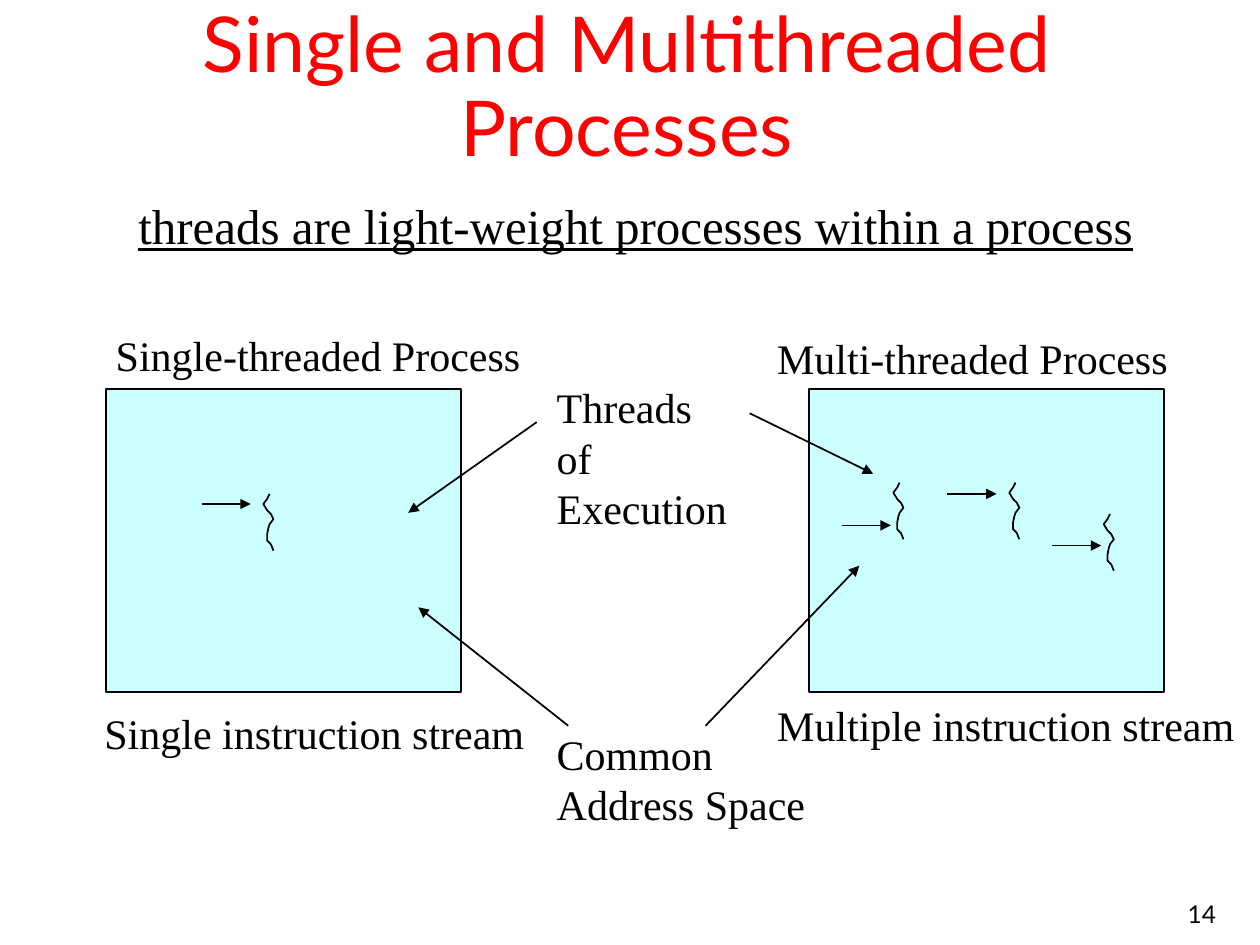
"""Build the slide on single and multithreaded processes."""
import pptx
import pptx.dml.color
import pptx.enum.shapes
import pptx.enum.text
import pptx.oxml
import pptx.util
from pptx.util import Inches

SERIF = "Times New Roman"
ALIGN = pptx.enum.text.PP_ALIGN
ANCHOR = pptx.enum.text.MSO_ANCHOR

LABELS = [
    ("Single-threaded Process", (0.82, 2.57, 3.41, 0.5), False),
    ("Single instruction stream", (0.73, 5.57, 4.26, 0.5), True),
    ("Multi-threaded Process", (6.07, 2.59, 3.6, 0.5), True),
    ("Multiple instruction stream", (6.07, 5.5, 3.85, 0.5), True),
    ("Threads of\nExecution", (4.32, 2.98, 1.63, 0.9), False),
    ("Common\nAddress Space", (4.32, 5.73, 2.17, 0.9), False),
]
PROCESSES = [(0.84, 3.09, 2.82, 2.4), (6.42, 3.09, 2.82, 2.4)]
THREADS = [(2.09, 3.92), (8.01, 3.83), (8.76, 4.08), (7.09, 3.83)]
STEPS = [(1.6, 4), (7.52, 3.92), (8.35, 4.33), (6.68, 4.17)]
STEP_LENGTH = 0.39
POINTERS = [
    ((4.51, 5.76), (3.32, 4.82)),
    ((4.26, 3.35), (3.24, 4.07)),
    ((5.6, 5.76), (6.82, 4.49)),
    ((5.95, 3.28), (6.93, 3.76)),
]
SQUIGGLE = [(5, 0), (3, 4), (0, 8), (3, 13), (6, 16), (8, 20),
            (5, 24), (4, 27), (3, 32), (3, 37), (6, 40), (8, 45)]


def rgb(color):
    return pptx.dml.color.RGBColor.from_string(color)


def add_text(s, text, box, size=24, font=SERIF, color="000000", wrap=True,
             align=ALIGN.LEFT, anchor=ANCHOR.TOP, spacing=None, underline=None):
    tf = s.shapes.add_textbox(*map(Inches, box)).text_frame
    tf.word_wrap = wrap
    tf.vertical_anchor = anchor
    for i, line in enumerate(text.split("\n")):
        p = tf.add_paragraph() if i else tf.paragraphs[0]
        p.alignment = align
        p.line_spacing = spacing
        r = p.add_run()
        r.text = line
        r.font.name = font
        r.font.size = pptx.util.Pt(size)
        r.font.underline = underline
        r.font.color.rgb = rgb(color)


def set_line(sp):
    sp.line.color.rgb = rgb("000000")
    sp.line.width = pptx.util.Pt(1)


def add_process(s, box):
    sp = s.shapes.add_shape(pptx.enum.shapes.MSO_SHAPE.RECTANGLE, *map(Inches, box))
    sp.shadow.inherit = False
    sp.fill.solid()
    sp.fill.fore_color.rgb = rgb("CCFFFF")
    set_line(sp)


def add_thread(s, x, y):
    points = [(round(x * 100) + dx, round(y * 100) + dy) for dx, dy in SQUIGGLE]
    fb = s.shapes.build_freeform(*points[0], scale=Inches(0.01))
    fb.add_line_segments(points[1:], close=False)
    sp = fb.convert_to_shape()
    sp.shadow.inherit = False
    sp.fill.background()
    set_line(sp)


def add_arrow(s, start, end):
    sp = s.shapes.add_connector(pptx.enum.shapes.MSO_CONNECTOR.STRAIGHT,
                                *map(Inches, start + end))
    set_line(sp)
    ln = sp.line._get_or_add_ln()
    tail = pptx.oxml.ns.qn("a:tailEnd")
    ln.append(ln.makeelement(tail, {"type": "triangle"}))
    props = sp._element.spPr
    props.append(props.makeelement(pptx.oxml.ns.qn("a:effectLst"), {}))


def main():
    prs = pptx.Presentation()
    prs.slide_width, prs.slide_height = Inches(10), Inches(7.5)
    s = prs.slides.add_slide(prs.slide_layouts[6])
    add_text(s, "14", (7.67, 6.92, 2.08, 0.5), size=14, font="Lato",
             align=ALIGN.RIGHT, anchor=ANCHOR.BOTTOM)
    add_text(s, "Single and Multithreaded Processes", (0.17, 0.17, 9.61, 1.08),
             size=44, font="Lato", color="FF0000", align=ALIGN.CENTER,
             anchor=ANCHOR.MIDDLE, spacing=0.9)
    for box in PROCESSES:
        add_process(s, box)
    for x, y in THREADS:
        add_thread(s, x, y)
    for x, y in STEPS:
        add_arrow(s, (x, y), (x + STEP_LENGTH, y))
    for text, box, wrap in LABELS:
        add_text(s, text, box, wrap=wrap)
    for start, end in POINTERS:
        add_arrow(s, start, end)
    add_text(s, "threads are light-weight processes within a process",
             (1, 1.5, 8.1, 0.57), size=28, wrap=False, underline=True)
    prs.save("out.pptx")


if __name__ == "__main__":
    main()
